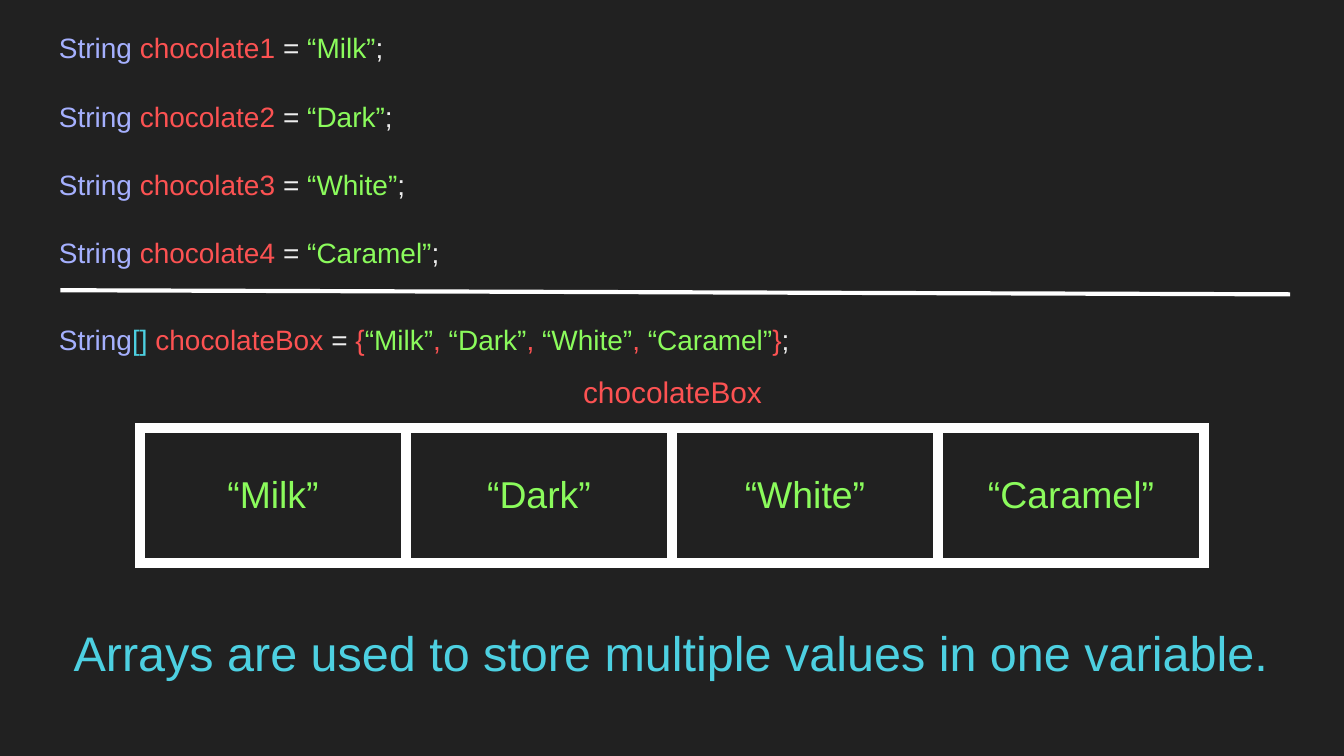
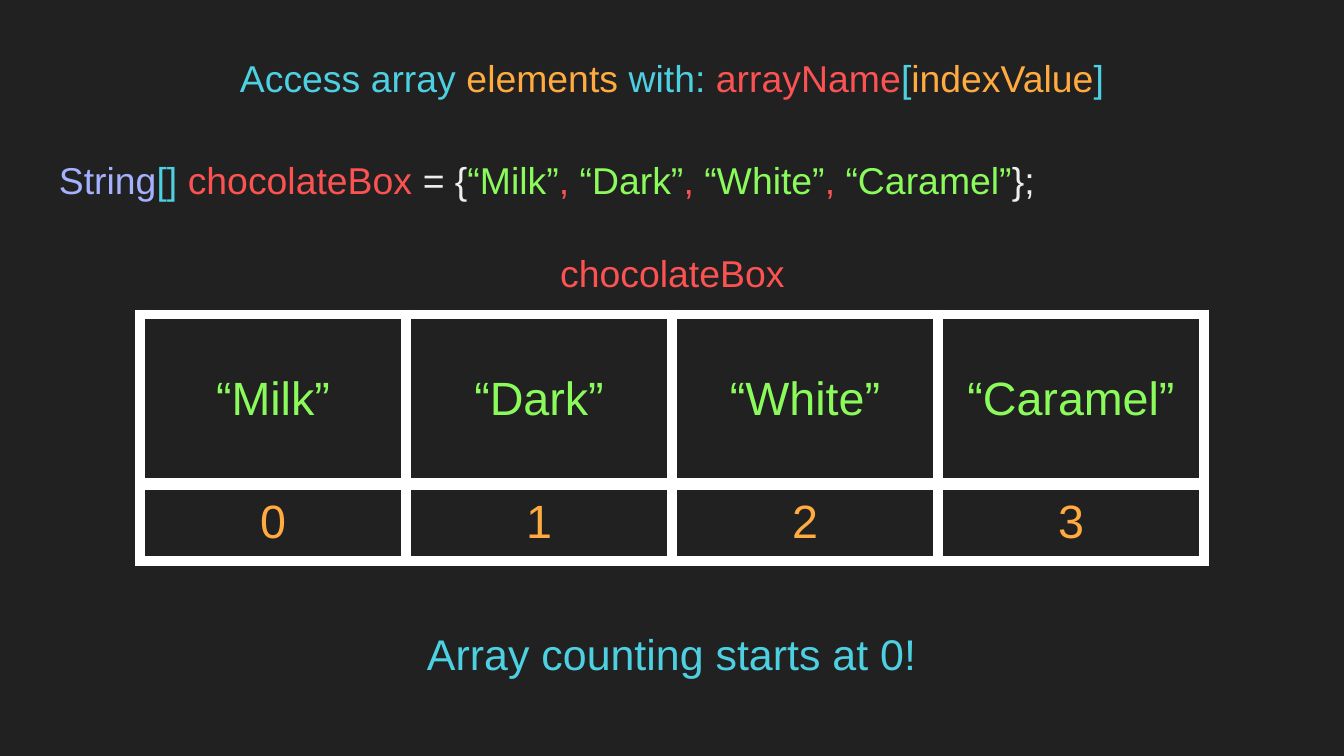
from dataclasses import dataclass
from typing import NamedTuple

from lxml.etree import SubElement as SubElem
from pptx import Presentation
from pptx.dml.color import RGBColor
from pptx.enum.shapes import MSO_CONNECTOR as Link
from pptx.enum.text import MSO_ANCHOR as Anchor, PP_ALIGN as Align
from pptx.oxml import parse_xml
from pptx.oxml.ns import nsdecls, qn
from pptx.slide import Slide
from pptx.text.text import _Paragraph as Para
from pptx.util import Pt

DARK = RGBColor(0x21, 0x21, 0x21)
WHITE = RGBColor(0xFF, 0xFF, 0xFF)
PALE = RGBColor(0xEE, 0xEE, 0xEE)
LILAC = RGBColor(0xA5, 0xB0, 0xFE)
RED = RGBColor(0xFC, 0x52, 0x52)
GREEN = RGBColor(0x8B, 0xFB, 0x5C)
CYAN = RGBColor(0x4D, 0xD0, 0xE1)
AMBER = RGBColor(0xFF, 0xAB, 0x40)

FONT = "Arial"
INSET = Pt(7.2)
EDGE = Pt(6)
LEFT, WIDE = 24.5, 671
GRID_X, COL_W = 75, 142.5
FLAVORS = ["“Milk”", "“Dark”", "“White”", "“Caramel”"]


class Part(NamedTuple):
    """A stretch of text in one colour."""

    text: str
    color: RGBColor


@dataclass
class Block:
    """A text box of one or more coloured lines."""

    top: float
    size: float
    lines: list[list[Part]]
    left: float = LEFT
    width: float = WIDE
    height: float = 41.75
    align: Align = Align.LEFT
    space: float = 1.15
    gap: float = 16


@dataclass
class Strip:
    """A one-row table of equal cells."""

    top: float
    height: float
    size: float
    color: RGBColor
    items: list[str]


def banner(top: float, size: float, parts: list[Part]) -> Block:
    """Return a centred full-width line."""
    return Block(top, size, [parts], align=Align.CENTER)


def label(top: float, size: float) -> Block:
    """Return the array name that sits above a table."""
    return Block(top, size, [[Part("chocolateBox", RED)]], left=218, width=284.5,
                 height=29.5, align=Align.CENTER, space=1, gap=0)


def single(num: int, flavor: str) -> list[Part]:
    """Return the declaration of one string."""
    return [Part("String ", LILAC), Part(f"chocolate{num} ", RED), Part("= ", PALE),
            Part(flavor, GREEN), Part(";", PALE)]


def array(brace: RGBColor) -> list[Part]:
    """Return the declaration of the whole array."""
    parts = [Part("String", LILAC), Part("[] ", CYAN), Part("chocolateBox ", RED),
             Part("= ", PALE), Part("{", brace), Part(FLAVORS[0], GREEN)]
    for flavor in FLAVORS[1:]:
        parts += [Part(",", RED), Part(f" {flavor}", GREEN)]
    return parts + [Part("}", brace), Part(";", PALE)]


def write(para: Para, parts: list[Part], size: float, align: Align) -> None:
    """Fill a paragraph with coloured runs."""
    para.alignment = align
    for part in parts:
        run = para.add_run()
        run.text = part.text
        run.font.name = FONT
        run.font.size = Pt(size)
        run.font.color.rgb = part.color


def draw_block(slide: Slide, block: Block) -> None:
    """Draw a text box."""
    box = slide.shapes.add_textbox(Pt(block.left), Pt(block.top),
                                   Pt(block.width), Pt(block.height))
    frame = box.text_frame
    frame.word_wrap = True
    frame.margin_left = frame.margin_right = INSET
    frame.margin_top = frame.margin_bottom = INSET
    for pos, parts in enumerate(block.lines):
        para = frame.add_paragraph() if pos else frame.paragraphs[0]
        para.line_spacing = block.space
        para.space_before = Pt(block.gap if pos else 0)
        write(para, parts, block.size, block.align)
    para.space_after = Pt(block.gap)


def draw_strip(slide: Slide, strip: Strip) -> None:
    """Draw a table row with thick white borders."""
    count = len(strip.items)
    table = slide.shapes.add_table(1, count, Pt(GRID_X), Pt(strip.top),
                                   Pt(COL_W * count), Pt(strip.height)).table
    table.first_row = table.horz_banding = False
    for cell, item in zip(table.rows[0].cells, strip.items):
        cell.vertical_anchor = Anchor.MIDDLE
        cell.margin_left = cell.margin_right = INSET
        cell.margin_top = cell.margin_bottom = INSET
        cell.fill.background()
        write(cell.text_frame.paragraphs[0], [Part(item, strip.color)],
              strip.size, Align.CENTER)
        props = cell._tc.get_or_add_tcPr()
        for pos, side in enumerate(("lnL", "lnR", "lnT", "lnB")):
            props.insert(pos, parse_xml(
                f'<a:{side} {nsdecls("a")} w="{EDGE}"><a:solidFill>'
                f'<a:srgbClr val="{WHITE}"/></a:solidFill></a:{side}>'))


def draw_rule(slide: Slide) -> None:
    """Draw the line between the two ways of coding."""
    rule = slide.shapes.add_connector(Link.STRAIGHT, Pt(32.4), Pt(155.5),
                                      Pt(691.2), Pt(157.7))
    rule.line.color.rgb = WHITE
    rule.line.width = Pt(2.25)
    SubElem(rule._element.spPr, qn("a:effectLst"))


def add_page(deck: Presentation, blocks: list[Block], strips: list[Strip]) -> Slide:
    """Add a dark slide with its text and tables."""
    slide = deck.slides.add_slide(deck.slide_layouts[6])
    fill = slide.background.fill
    fill.solid()
    fill.fore_color.rgb = DARK
    for strip in strips:
        draw_strip(slide, strip)
    for block in blocks:
        draw_block(slide, block)
    return slide


def main() -> None:
    """Build and save the deck."""
    deck = Presentation()
    deck.slide_width, deck.slide_height = Pt(720), Pt(405)

    singles = [single(num, flavor) for num, flavor in enumerate(FLAVORS, 1)]
    motto = "Arrays are used to store multiple values in one variable."
    slide = add_page(deck, [
        Block(162.7, 15, [array(RED)]),
        label(193, 16),
        Block(6.5, 15, singles, height=147.6),
        banner(321.8, 26, [Part(motto, CYAN)]),
    ], [Strip(229.5, 72, 20, GREEN, FLAVORS)])
    draw_rule(slide)

    access = [Part("Access array ", CYAN), Part("elements", AMBER),
              Part(" with: ", CYAN), Part("arrayName", RED), Part("[", CYAN),
              Part("indexValue", AMBER), Part("]", CYAN)]
    places = [str(pos) for pos in range(len(FLAVORS))]
    add_page(deck, [
        Block(73.4, 20, [array(PALE)], width=609),
        label(126.7, 20),
        banner(324.7, 23, [Part("Array counting starts at 0!", CYAN)]),
        banner(18.7, 20, access),
    ], [Strip(168.5, 91.4, 25, GREEN, FLAVORS),
        Strip(258.5, 38.2, 25, AMBER, places)])

    deck.save("out.pptx")


if __name__ == "__main__":
    main()
